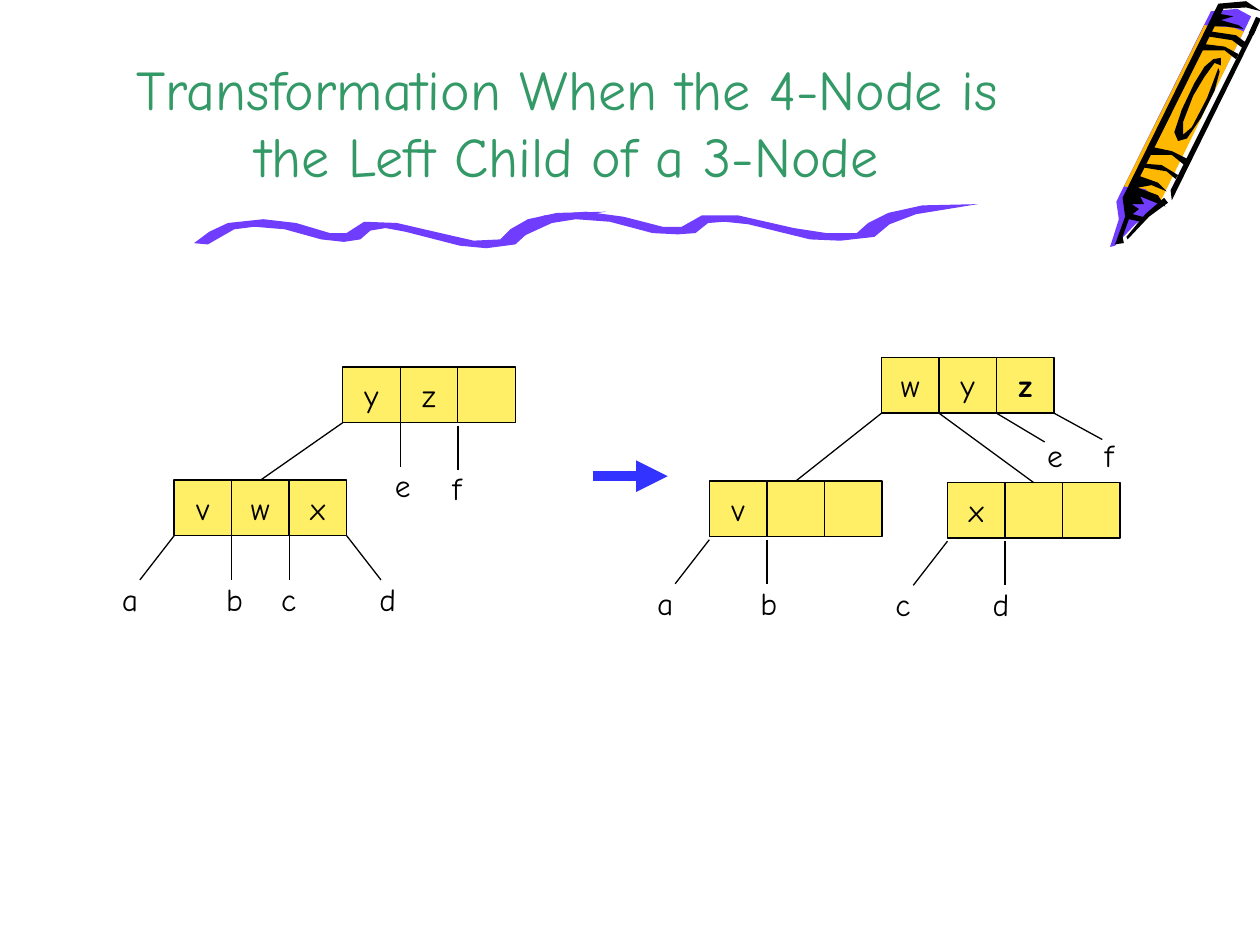
from lxml import etree
from pptx import Presentation
from pptx.dml.color import RGBColor
from pptx.enum.shapes import MSO_CONNECTOR, MSO_SHAPE
from pptx.enum.text import MSO_ANCHOR, MSO_AUTO_SIZE, PP_ALIGN
from pptx.oxml.ns import qn
from pptx.util import Cm, Pt

STRAIGHT = MSO_CONNECTOR.STRAIGHT
RECTANGLE = MSO_SHAPE.RECTANGLE
CENTER = PP_ALIGN.CENTER
FIT_SHAPE = MSO_AUTO_SIZE.SHAPE_TO_FIT_TEXT

FONT = "Comic Neue"
COLORS = {
    "ink": "000000",
    "title": "339966",
    "cell": "FFEF66",
    "arrow": "3333FF",
    "purple": "703DFF",
    "orange": "FFB800",
}
CELL_WIDTH, CELL_HEIGHT = 1.16, 1.12
GRID = Cm(0.0254)  # unit of the outline points below

CRAYON = [
    ("purple", [(993, 13), (917, 166), (901, 178), (885, 195), (881, 196), (888, 174),
                (886, 160), (961, 9), (982, 7)]),
    ("orange", [(921, 160), (909, 150), (892, 148), (956, 20), (979, 22), (987, 25)]),
    ("ink", [(927, 161), (912, 172), (895, 190), (894, 188), (909, 170), (924, 157)]),
    ("ink", [(987, 23), (973, 21), (961, 21), (968, 11), (979, 13), (969, 16), (983, 20)]),
    ("ink", [(968, 57), (964, 72), (953, 94), (942, 110), (935, 112), (932, 105), (938, 87),
             (948, 66), (956, 53), (963, 47), (969, 46), (969, 52), (964, 50), (956, 61),
             (947, 76), (939, 97), (939, 107), (946, 101), (958, 78), (967, 54)]),
    ("ink", [(997, 23), (930, 159), (929, 151), (993, 23)]),
    ("ink", [(925, 164), (919, 155), (903, 149), (914, 147), (926, 152), (919, 145),
             (905, 140), (971, 7), (989, 6), (1001, 9), (989, 1), (967, 3), (891, 157),
             (893, 172), (885, 194), (892, 193), (891, 188), (896, 174), (905, 176),
             (910, 173), (899, 170), (904, 166), (898, 162), (908, 162), (905, 156)]),
    ("ink", [(933, 142), (926, 136), (908, 133), (909, 130), (922, 131), (935, 139)]),
    ("ink", [(940, 131), (930, 123), (913, 123), (916, 117), (930, 120), (942, 126)]),
    ("ink", [(981, 47), (972, 40), (953, 40), (956, 35), (972, 37), (983, 43)]),
    ("ink", [(986, 38), (978, 32), (959, 29), (961, 25), (981, 28), (989, 34)]),
]
WAVES = [
    ("purple", [(165, 194), (186, 182), (202, 180), (226, 182), (255, 190), (273, 192),
                (286, 190), (294, 183), (306, 181), (322, 184), (365, 195), (386, 197),
                (409, 194), (420, 184), (438, 175), (481, 168), (442, 169), (419, 174),
                (405, 182), (397, 190), (376, 191), (354, 186), (315, 177), (289, 176),
                (275, 185), (262, 185), (235, 177), (209, 174), (181, 177), (166, 184),
                (154, 193)]),
    ("purple", [(414, 188), (438, 177), (457, 174), (484, 176), (518, 185), (538, 186),
                (552, 185), (562, 177), (575, 176), (594, 178), (643, 190), (667, 191),
                (694, 188), (706, 178), (727, 170), (776, 162), (732, 163), (705, 169),
                (689, 177), (680, 185), (656, 185), (630, 181), (586, 171), (557, 171),
                (541, 180), (526, 180), (495, 172), (465, 168), (432, 171), (415, 178),
                (401, 188)]),
]


def color(name):
    return RGBColor.from_string(COLORS[name])


def add_outline(page, fill, points):
    builder = page.shapes.build_freeform(*points[0], scale=GRID)
    builder.add_line_segments(points[1:], close=True)
    shape = builder.convert_to_shape()
    shape.shadow.inherit = False
    shape.fill.solid()
    shape.fill.fore_color.rgb = color(fill)
    shape.line.fill.background()


def add_line(page, start, end, width=0.75, line_color="ink"):
    line = page.shapes.add_connector(STRAIGHT, *map(Cm, start + end))
    line.line.width = Pt(width)
    line.line.color.rgb = color(line_color)
    etree.SubElement(line.element.spPr, qn("a:effectLst"))
    return line


def add_arrow(page, start, end):
    arrow = add_line(page, start, end, 6, "arrow")
    outline = arrow.line._get_or_add_ln()
    etree.SubElement(outline, qn("a:tailEnd"), type="triangle")


def write(box, text, size=18, text_color="ink", bold=False):
    para = box.text_frame.paragraphs[0]
    span = para.add_run()
    span.text = text
    span.font.name = FONT
    span.font.size = Pt(size)
    span.font.bold = bold
    span.font.color.rgb = color(text_color)
    return para


def add_title(page, text):
    box = page.shapes.add_textbox(Cm(1.9), Cm(0), Cm(19.08), Cm(3.94))
    box.text_frame.word_wrap = True
    box.text_frame.vertical_anchor = MSO_ANCHOR.BOTTOM
    write(box, text, 32, "title").alignment = CENTER


def add_label(page, left, top, text):
    box = page.shapes.add_textbox(Cm(left), Cm(top), Cm(0.76), Cm(1.02))
    box.text_frame.word_wrap = True
    box.text_frame.auto_size = FIT_SHAPE
    write(box, text)


def add_node(page, left, top, keys, bold_key=None):
    """Draw a row of three cells and return them."""
    cells = []
    for index in range(3):
        cell = page.shapes.add_shape(RECTANGLE, Cm(left + index * CELL_WIDTH), Cm(top),
                                     Cm(CELL_WIDTH), Cm(CELL_HEIGHT))
        cell.shadow.inherit = False
        cell.fill.solid()
        cell.fill.fore_color.rgb = color("cell")
        cell.line.color.rgb = color("ink")
        cell.line.width = Pt(0.75)
        cell.text_frame.word_wrap = False
        cell.text_frame.vertical_anchor = MSO_ANCHOR.MIDDLE
        if index < len(keys):
            key = keys[index]
            write(cell, key, bold=key == bold_key).alignment = CENTER
        cells.append(cell)
    return cells


def branch_point(cells, branch):
    """Bottom corner of a node where the numbered branch leaves, in cm."""
    node = cells[0]
    return node.left.cm + branch * CELL_WIDTH, node.top.cm + CELL_HEIGHT


def add_child_edge(page, parent, branch, child):
    start = branch_point(parent, branch)
    edge = add_line(page, start, start)
    edge.end_connect(child[1], 0)


def add_leaf(page, cells, branch, text, lean=0, drop=0.89, gap=0, shift=-0.36, rise=0.13):
    """Draw a branch and its subtree label, placed relative to the branch's end."""
    x, y = branch_point(cells, branch)
    end = (x + lean, y + gap + drop)
    add_line(page, (x, y + gap), end)
    add_label(page, end[0] + shift, end[1] - rise, text)


def main():
    deck = Presentation()
    deck.slide_width, deck.slide_height = Cm(25.4), Cm(19.05)
    page = deck.slides.add_slide(deck.slide_layouts[6])

    for fill, points in CRAYON:
        add_outline(page, fill, points)
    add_line(page, (25.37, 0.36), (25.22, 0.69), 3)
    for fill, points in WAVES:
        add_outline(page, fill, points)
    add_title(page, "Transformation When the 4-Node is the Left Child of a 3-Node")

    parent = add_node(page, 6.91, 7.4, "yz")
    four_node = add_node(page, 3.51, 9.68, "vwx")
    add_child_edge(page, parent, 0, four_node)
    add_leaf(page, parent, 1, "e")
    add_leaf(page, parent, 2, "f", gap=0.06)
    add_leaf(page, four_node, 0, "a", lean=-0.69, shift=-0.61)
    add_leaf(page, four_node, 1, "b")
    add_leaf(page, four_node, 2, "c", shift=-0.41)
    add_leaf(page, four_node, 3, "d", lean=0.69, shift=-0.28)

    add_arrow(page, (11.96, 9.6), (13.46, 9.6))

    merged = add_node(page, 17.77, 7.21, "wyz", bold_key="z")
    left_half = add_node(page, 14.3, 9.7, "v")
    right_half = add_node(page, 19.1, 9.73, "x")
    add_child_edge(page, merged, 0, left_half)
    add_child_edge(page, merged, 1, right_half)
    add_leaf(page, merged, 2, "e", lean=0.97, drop=0.58, shift=-0.2, rise=0.25)
    add_leaf(page, merged, 3, "f", lean=0.97, drop=0.53, shift=-0.2, rise=0.2)
    for node, first, second, shift in ((left_half, "a", "b", -0.38),
                                       (right_half, "c", "d", -0.5)):
        add_leaf(page, node, 0, first, lean=-0.69, gap=0.06, shift=-0.61)
        add_leaf(page, node, 1, second, gap=0.06, shift=shift)

    deck.save("out.pptx")


if __name__ == "__main__":
    main()
